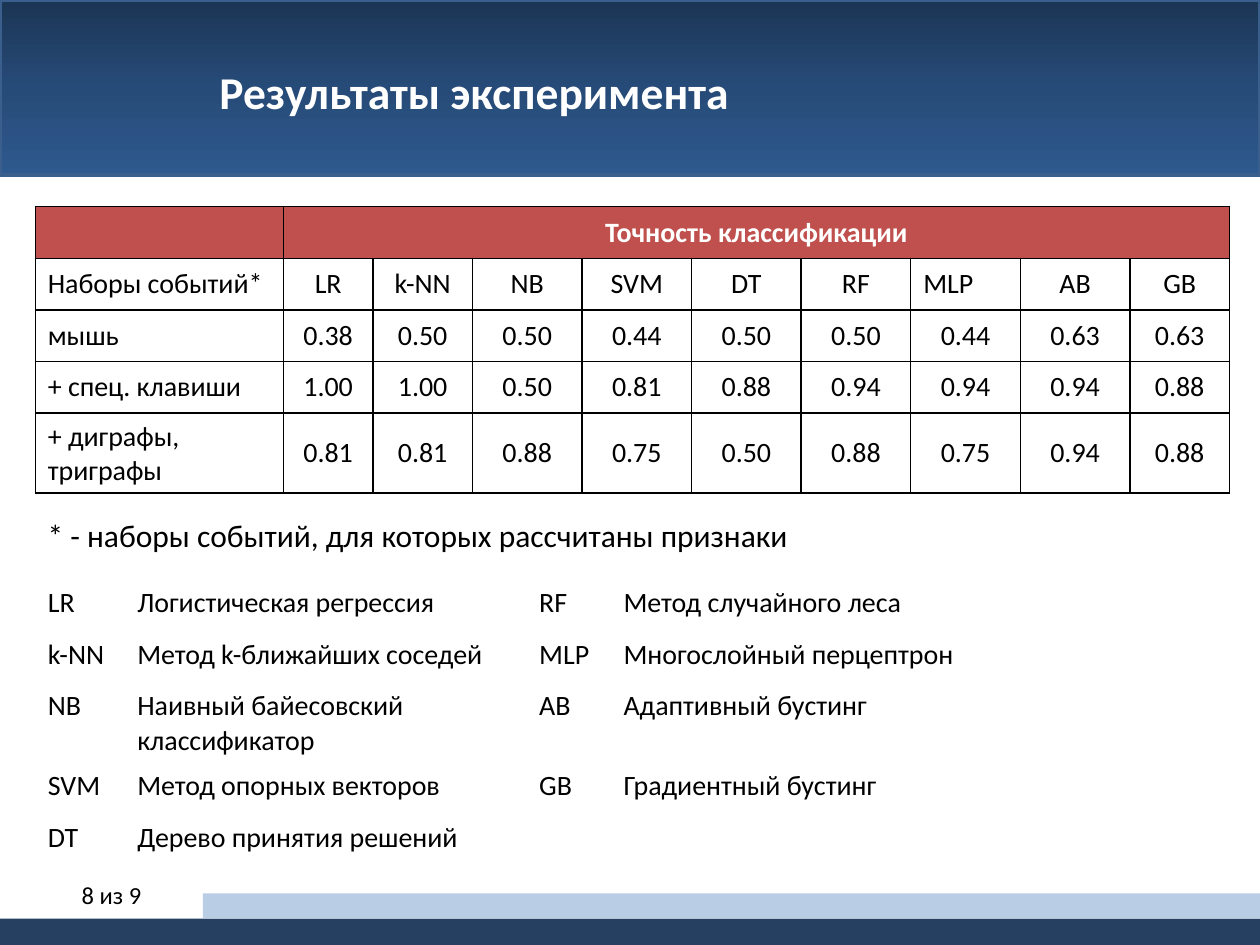
from copy import deepcopy

from lxml.etree import SubElement
from pptx import Presentation
from pptx.dml.color import RGBColor
from pptx.enum.shapes import MSO_SHAPE
from pptx.enum.text import MSO_ANCHOR, MSO_AUTO_SIZE, PP_ALIGN
from pptx.oxml.ns import qn
from pptx.util import Inches, Pt

TITLE = "Результаты эксперимента"
FOOTNOTE = "* - наборы событий, для которых рассчитаны признаки"
PAGE_NUMBER = "8 из 9"
BANNER_STOPS = [(0, "1B3554"), (0.5, "274B78"), (1, "2E598E")]

ACCURACY = [
    ["", "Точность классификации"] + [""] * 8,
    ["Наборы событий*", "LR", "k-NN", "NB", "SVM", "DT", "RF", "MLP", "AB", "GB"],
    ["мышь", "0.38", "0.50", "0.50", "0.44", "0.50", "0.50", "0.44", "0.63", "0.63"],
    ["+ спец. клавиши", "1.00", "1.00", "0.50", "0.81", "0.88", "0.94", "0.94", "0.94", "0.88"],
    ["+ диграфы, триграфы", "0.81", "0.81", "0.88", "0.75", "0.50", "0.88", "0.75", "0.94", "0.88"],
]
ACCURACY_WIDTHS = [1.97, 0.71, 0.79] + [0.87] * 6 + [0.79]

METHODS = [
    ["LR", "Логистическая регрессия", "RF", "Метод случайного леса"],
    ["k-NN", "Метод k-ближайших соседей", "MLP", "Многослойный перцептрон"],
    ["NB", "Наивный байесовский классификатор", "AB", "Адаптивный бустинг"],
    ["SVM", "Метод опорных векторов", "GB", "Градиентный бустинг"],
    ["DT", "Дерево принятия решений", "", ""],
]
METHOD_WIDTHS = [0.71, 3.19, 0.67, 3.23]
ROW_HEIGHT = 0.41
LEFT_EDGE = 0.28


def color(value):
    return RGBColor.from_string(value)


def style(para, size, ink="000000", bold=False, align=PP_ALIGN.LEFT):
    para.alignment = align
    font = para.font
    font.name, font.size, font.bold = "Calibri", Pt(size), bold
    font.color.rgb = color(ink)


def add_bar(page, left, top, width, height, fill):
    bar = page.shapes.add_shape(
        MSO_SHAPE.RECTANGLE, Inches(left), Inches(top), Inches(width), Inches(height))
    bar.shadow.inherit = False
    bar.fill.solid()
    bar.fill.fore_color.rgb = color(fill)
    bar.line.fill.background()
    return bar


def add_banner(page):
    banner = add_bar(page, 0, 0, 10, 1.39, "274B78")
    banner.fill.gradient()
    banner.fill.gradient_angle = 270
    stop_list = banner.fill._fill._gradFill.find(qn("a:gsLst"))
    stop_list.insert(1, deepcopy(stop_list[0]))
    for stop, (position, value) in zip(banner.fill.gradient_stops, BANNER_STOPS):
        stop.position = position
        stop.color.rgb = color(value)
    banner.line.color.rgb = color("3A5F8C")
    banner.line.width = Pt(2)


def add_title(page):
    title = page.shapes.title
    page.shapes._spTree.append(title._element)
    title.left, title.top = Inches(1.14), Inches(0.46)
    title.width, title.height = Inches(8.11), Inches(0.54)
    frame = title.text_frame
    frame.text = TITLE
    frame.auto_size = MSO_AUTO_SIZE.NONE
    frame.vertical_anchor = MSO_ANCHOR.TOP
    frame.margin_left = Inches(0.6)
    style(frame.paragraphs[0], 26, "FFFFFF", True)


def add_label(page, text, left, top, width, size, align=PP_ALIGN.LEFT, anchor=MSO_ANCHOR.TOP):
    box = page.shapes.add_textbox(Inches(left), Inches(top), Inches(width), Inches(0.4))
    frame = box.text_frame
    frame.word_wrap = True
    frame.vertical_anchor = anchor
    frame.text = text
    style(frame.paragraphs[0], size, align=align)


def add_grid(page, rows, widths, top):
    table = page.shapes.add_table(
        len(rows), len(widths), Inches(LEFT_EDGE), Inches(top),
        Inches(sum(widths)), Inches(ROW_HEIGHT * len(rows))).table
    table.first_row = table.horz_banding = False
    for column, width in zip(table.columns, widths):
        column.width = Inches(width)
    for row, texts in zip(table.rows, rows):
        row.height = Inches(ROW_HEIGHT)
        for cell, text in zip(row.cells, texts):
            cell.text = text
            cell.fill.background()
            style(cell.text_frame.paragraphs[0], 16)
    return table


def add_borders(cell):
    properties = cell._tc.get_or_add_tcPr()
    for position, side in enumerate(["lnL", "lnR", "lnT", "lnB"]):
        line = SubElement(properties, qn("a:" + side), w=str(Pt(1)))
        fill = SubElement(line, qn("a:solidFill"))
        SubElement(fill, qn("a:srgbClr"), val="000000")
        properties.insert(position, line)


def add_accuracy(page):
    table = add_grid(page, ACCURACY, ACCURACY_WIDTHS, 1.64)
    table.cell(0, 1).merge(table.cell(0, len(ACCURACY_WIDTHS) - 1))
    for r, row in enumerate(table.rows):
        for c, cell in enumerate(row.cells):
            cell.vertical_anchor = MSO_ANCHOR.MIDDLE
            para = cell.text_frame.paragraphs[0]
            if c and cell.text != "MLP":
                para.alignment = PP_ALIGN.CENTER
            if r == 0:
                cell.fill.solid()
                cell.fill.fore_color.rgb = color("C0504D")
                style(para, 16, "FFFFFF", True, PP_ALIGN.CENTER)
            add_borders(cell)


def main():
    deck = Presentation()
    deck.slide_width, deck.slide_height = Inches(10), Inches(7.5)
    page = deck.slides.add_slide(deck.slide_layouts[5])
    add_banner(page)
    add_title(page)
    add_bar(page, 0, 7.29, 10, 0.21, "254061")
    add_label(page, PAGE_NUMBER, -0.28, 6.9, 2.33, 14, PP_ALIGN.CENTER, MSO_ANCHOR.MIDDLE)
    add_bar(page, 1.61, 7.09, 8.39, 0.2, "B9CDE5")
    add_accuracy(page)
    add_label(page, FOOTNOTE, LEFT_EDGE, 4.05, 8.98, 18)
    add_grid(page, METHODS, METHOD_WIDTHS, 4.6)
    deck.save("out.pptx")


if __name__ == "__main__":
    main()
